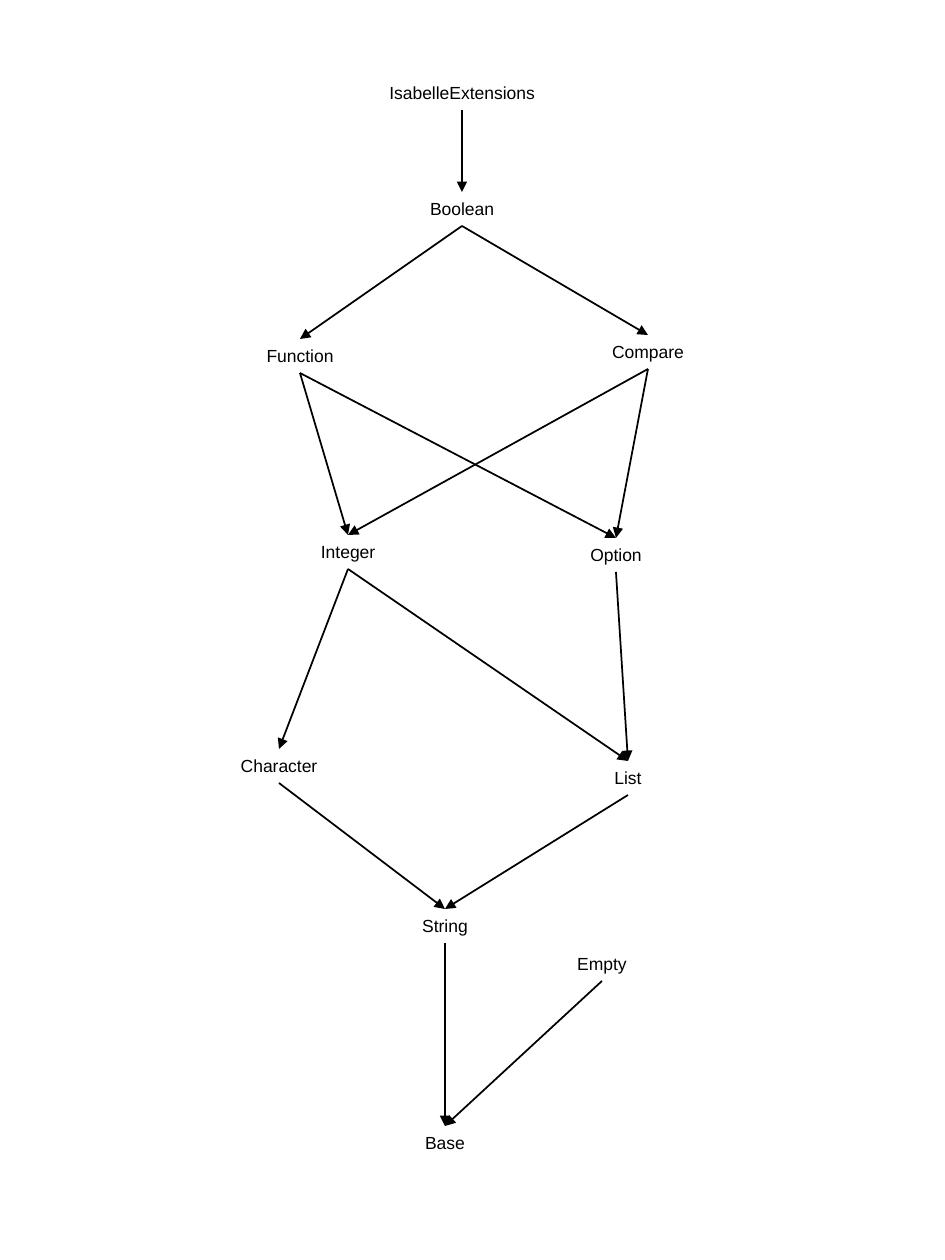
from dataclasses import dataclass
from pptx import Presentation
from pptx.dml.color import RGBColor
from pptx.enum.shapes import MSO_CONNECTOR as Connector
from pptx.enum.text import MSO_ANCHOR as Anchor, MSO_AUTO_SIZE as AutoSize, PP_ALIGN as Align
from pptx.oxml.ns import qn
from pptx.util import Pt
from lxml.etree import SubElement

EMU_PER_PX = 914400 / 126
PAGE = (0, 0, 945, 1260)
LABEL_HEIGHT = 34
TOP_SITE, BOTTOM_SITE = 0, 2


@dataclass(frozen=True)
class Theme:
    ink: RGBColor = RGBColor(0, 0, 0)
    paper: RGBColor = RGBColor(255, 255, 255)
    font: str = "Arial"
    label_size: float = 10
    arrow_width: float = 1


THEME = Theme()

# Theory name: centre x, top, width
THEORIES = {
    "IsabelleExtensions": (462, 76, 174),
    "Boolean": (462, 192, 92),
    "Function": (300, 339, 94),
    "Compare": (648, 335, 100),
    "Integer": (348, 535, 82),
    "Option": (616, 538, 80),
    "Character": (279, 749, 104),
    "List": (628, 761, 54),
    "String": (445, 909, 74),
    "Empty": (602, 947, 78),
    "Base": (445, 1126, 68),
}

# Theory name: the theories it points to
IMPORTS = {
    "IsabelleExtensions": ["Boolean"],
    "Boolean": ["Function", "Compare"],
    "Function": ["Integer", "Option"],
    "Compare": ["Integer", "Option"],
    "Integer": ["Character", "List"],
    "Option": ["List"],
    "Character": ["String"],
    "List": ["String"],
    "String": ["Base"],
    "Empty": ["Base"],
}


def px(length):
    return round(length * EMU_PER_PX)


def add_text(slide, text, box, size=THEME.label_size, color=THEME.ink,
             font=THEME.font, align=Align.CENTER):
    label = slide.shapes.add_textbox(*map(px, box))
    frame = label.text_frame
    frame.word_wrap = False
    frame.auto_size = AutoSize.SHAPE_TO_FIT_TEXT
    frame.vertical_anchor = Anchor.TOP
    paragraph = frame.paragraphs[0]
    paragraph.alignment = align
    run = paragraph.add_run()
    run.text = text
    run.font.name, run.font.size = font, Pt(size)
    run.font.color.rgb = color
    return label


def add_arrow(slide, source, target):
    arrow = slide.shapes.add_connector(Connector.STRAIGHT, 0, 0, 0, 0)
    arrow.begin_connect(source, BOTTOM_SITE)
    arrow.end_connect(target, TOP_SITE)
    arrow.line.color.rgb = THEME.ink
    arrow.line.width = Pt(THEME.arrow_width)
    properties = arrow._element.spPr
    SubElement(properties.find(qn("a:ln")), qn("a:tailEnd"), type="triangle")
    SubElement(properties, qn("a:effectLst"))


def add_import_graph(slide, box):
    left, top, _, _ = box
    # Theory labels
    labels = {
        name: add_text(slide, name, (left + center - width / 2, top + y, width, LABEL_HEIGHT))
        for name, (center, y, width) in THEORIES.items()
    }
    # Import arrows
    for source, targets in IMPORTS.items():
        for target in targets:
            add_arrow(slide, labels[source], labels[target])


deck = Presentation()
deck.slide_width, deck.slide_height = px(PAGE[2]), px(PAGE[3])
graph_slide = deck.slides.add_slide(deck.slide_layouts[6])
graph_slide.background.fill.solid()
graph_slide.background.fill.fore_color.rgb = THEME.paper
add_import_graph(graph_slide, PAGE)
deck.save("out.pptx")
